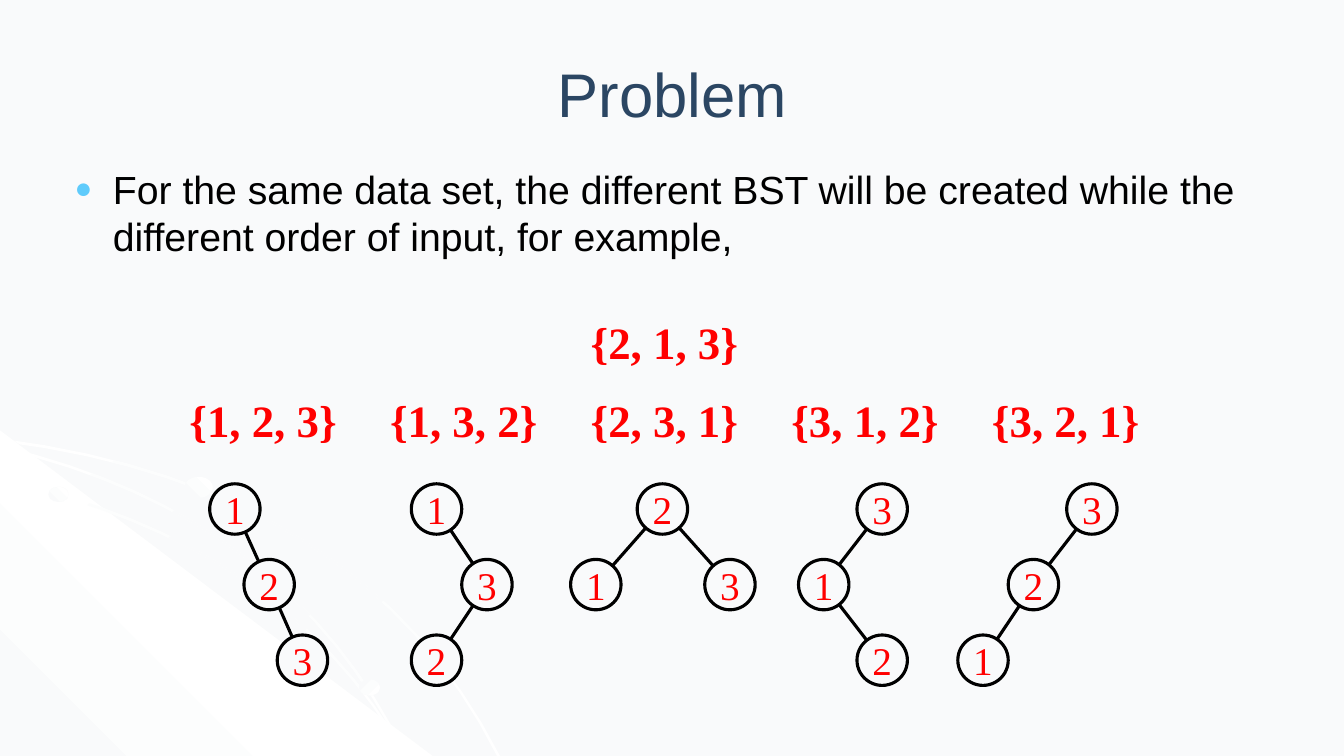
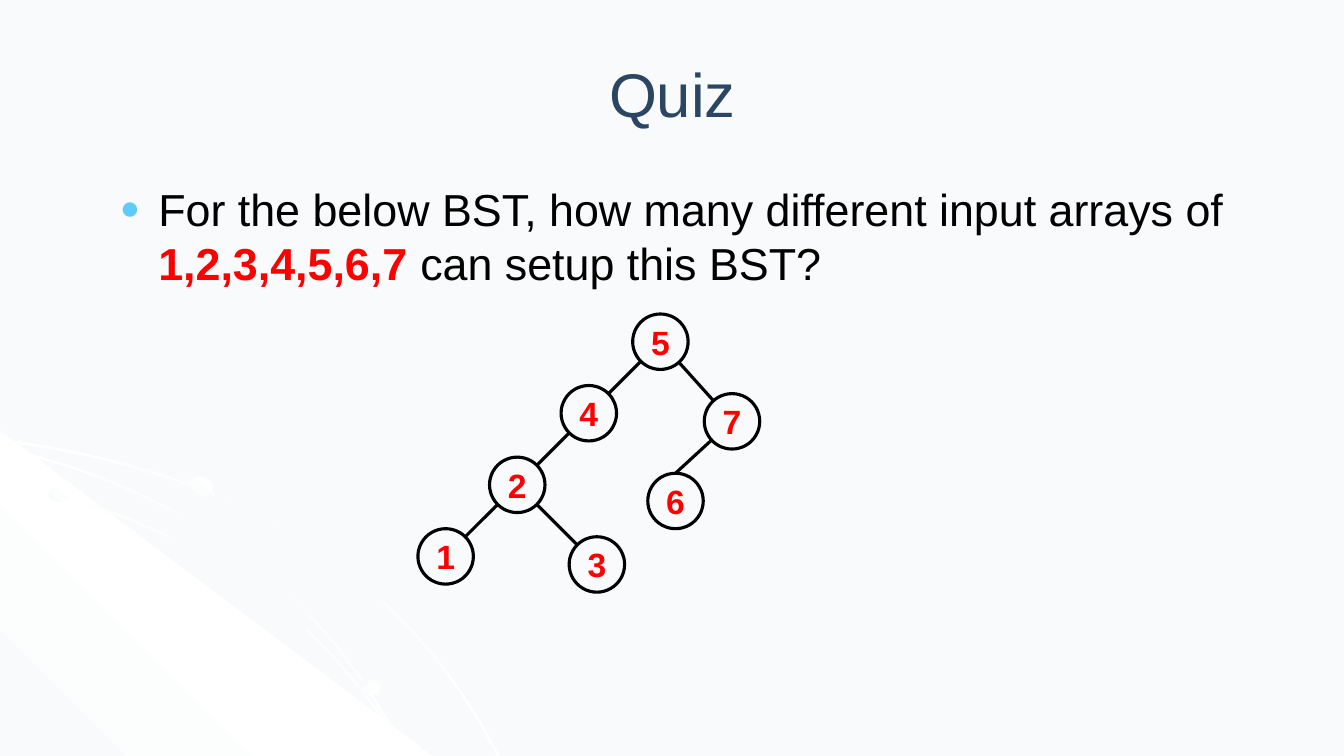
import copy

import pptx
import pptx.dml.color
import pptx.enum.shapes
import pptx.enum.text
import pptx.oxml.ns
import pptx.util
from lxml import etree

Inches = pptx.util.Inches
Pt = pptx.util.Pt
qn = pptx.oxml.ns.qn

SLIDE_WIDTH, SLIDE_HEIGHT = 13.33, 7.5
PALE, WHITE, NAVY, SKY = "F9FAFB", "FFFFFF", "2B4663", "5FCBFB"
BLACK, RED = "000000", "FF0000"
LINE_WIDTH = 2.25


def color(hex_text):
    return pptx.dml.color.RGBColor.from_string(hex_text)


def inches(*lengths):
    return [Inches(length) for length in lengths]


def set_font(font, name, size, hex_text, bold=False):
    font.name, font.size, font.bold = name, Pt(size), bold
    font.color.rgb = color(hex_text)


def add_bullet(para):
    """Hang the paragraph behind a round, sky-blue bullet."""
    props = para._p.get_or_add_pPr()
    props.set("marL", str(Inches(0.38)))
    props.set("indent", str(-Inches(0.38)))
    bullet_color = etree.SubElement(props, qn("a:buClr"))
    etree.SubElement(bullet_color, qn("a:srgbClr"), val=SKY)
    etree.SubElement(props, qn("a:buSzPct"), val="75000")
    etree.SubElement(props, qn("a:buChar"), char="●")


def shade(shape, colors, angle):
    """Fill with two or three evenly spaced colours; the angle runs clockwise."""
    shape.shadow.inherit = False
    shape.line.fill.background()
    shape.fill.gradient()
    shape.fill.gradient_angle = 360 - angle
    if len(colors) == 3:
        stops = shape.element.spPr.find(qn("a:gradFill")).find(qn("a:gsLst"))
        middle = copy.deepcopy(stops[0])
        middle.set("pos", "50000")
        stops.insert(1, middle)
    for stop, hex_text in zip(shape.fill.gradient_stops, colors):
        stop.color.rgb = color(hex_text)


def curve(start, bend, end, steps=16):
    """Return points on the quadratic curve from start to end, pulled to bend."""
    points = []
    for step in range(steps + 1):
        t = step / steps
        points.append(tuple(
            (1 - t) ** 2 * a + 2 * t * (1 - t) * b + t ** 2 * c
            for a, b, c in zip(start, bend, end)))
    return points


def thin_arc(left_y, bend, bottom_x, thickness=0.03):
    """Outline a thin band that curves from the left edge to the bottom edge."""
    bend_x, bend_y = bend
    outer = curve((0, left_y), bend, (bottom_x, SLIDE_HEIGHT))
    inner = curve((0, left_y + thickness),
                  (bend_x - thickness / 2, bend_y + thickness / 2),
                  (bottom_x - thickness, SLIDE_HEIGHT))
    return outer + inner[::-1]


def grow_search_tree(order, root_center, steps):
    """Insert the keys in order; return each key's center and its parent.

    Each step is the distance (across, down) from a parent to the next key;
    smaller keys go to the left and larger keys to the right.
    """
    root = order[0]
    centers, parents, taken = {root: root_center}, {}, {}
    for key, (across, down) in zip(order[1:], steps):
        parent = root
        while (parent, key > parent) in taken:
            parent = taken[parent, key > parent]
        taken[parent, key > parent] = key
        parents[key] = parent
        x, y = centers[parent]
        centers[key] = (x + across if key > parent else x - across, y + down)
    return centers, parents


class TreeDeck:
    def __init__(self):
        self.deck = pptx.Presentation()
        self.deck.slide_width, self.deck.slide_height = inches(SLIDE_WIDTH, SLIDE_HEIGHT)
        self.layout = self.deck.slide_layouts[1]
        background = self.layout.background.fill
        background.solid()
        background.fore_color.rgb = color(PALE)
        self.page = None

    def add_page(self, title):
        first = self.page is None
        self.page = self.deck.slides.add_slide(self.layout)
        if first:
            self.add_backdrop()
        box = self.page.shapes.title
        box.left, box.top, box.width, box.height = inches(2.17, 0.3, 9, 1.25)
        frame = box.text_frame
        frame.text = title
        frame.auto_size = pptx.enum.text.MSO_AUTO_SIZE.NONE
        frame.vertical_anchor = pptx.enum.text.MSO_ANCHOR.MIDDLE
        para = frame.paragraphs[0]
        para.alignment = pptx.enum.text.PP_ALIGN.CENTER
        set_font(para.font, "Arial", 44, NAVY)

    def add_backdrop(self):
        """Draw the corner ornament, then move it to the shared layout."""
        group = self.page.shapes.add_group_shape()
        corner = [(0, 4.27), (4.29, SLIDE_HEIGHT), (0, SLIDE_HEIGHT)]
        wide_arc = thin_arc(4.35, (3.59, 4.81), 4.96)
        lower_arc = thin_arc(4.75, (2.81, 5.35), 4.04)
        upper_arc = thin_arc(4.42, (2.87, 5.09), 4.04)
        pale_middle, white_middle = (WHITE, PALE, WHITE), (PALE, WHITE, PALE)
        for outline, colors, angle in [
            (wide_arc, pale_middle, 45),
            (corner, white_middle, 315),
            (lower_arc, pale_middle, 45),
            (upper_arc, pale_middle, 45),
        ]:
            points = [inches(*point) for point in outline]
            builder = group.shapes.build_freeform(*points[0])
            builder.add_line_segments(points[1:], close=True)
            shade(builder.convert_to_shape(), colors, angle)
        for left, top, width, height, angle in [
            (0.48, 4.83, 0.2, 0.15, 315),
            (3.56, 6.74, 0.21, 0.16, 45),
            (1.83, 4.73, 0.28, 0.21, 315),
        ]:
            dot = group.shapes.add_shape(
                pptx.enum.shapes.MSO_SHAPE.OVAL, *inches(left, top, width, height))
            shade(dot, (PALE, WHITE), angle)
        # Shape numbers must not clash with those already on the layout.
        for number, props in enumerate(group.element.iter(qn("p:cNvPr")), 100):
            props.set("id", str(number))
        self.layout.shapes.element.insert(2, group.element)

    def add_body(self, place, size, spans):
        """Fill the body with one bullet made of (text, emphasised) spans."""
        box = self.page.placeholders[1]
        box.left, box.top, box.width, box.height = inches(*place)
        box.text_frame.auto_size = pptx.enum.text.MSO_AUTO_SIZE.NONE
        para = box.text_frame.paragraphs[0]
        add_bullet(para)
        para.space_before = Pt(0)
        set_font(para.font, "Arial", size, BLACK)
        for text, emphasised in spans:
            span = para.add_run()
            span.text = text
            if emphasised:
                span.font.bold = True
                span.font.color.rgb = color(RED)

    def add_order(self, left, top, order):
        """Write an input order as a set, such as {1, 2, 3}."""
        box = self.page.shapes.add_textbox(*inches(left, top, 1.66, 0.64))
        box.text_frame.word_wrap = False
        para = box.text_frame.paragraphs[0]
        para.text = "{" + ", ".join(order) + "}"
        set_font(para.font, "Times New Roman", 32, RED, bold=True)

    def add_edge(self, group, start, end):
        edge = group.shapes.add_connector(
            pptx.enum.shapes.MSO_CONNECTOR.STRAIGHT, *inches(*start, *end))
        edge.line.width = Pt(LINE_WIDTH)
        edge.line.color.rgb = color(BLACK)
        etree.SubElement(edge.element.spPr, qn("a:effectLst"))

    def add_node(self, group, key, center, size, font):
        x, y = center
        node = group.shapes.add_shape(
            pptx.enum.shapes.MSO_SHAPE.OVAL,
            *inches(x - size / 2, y - size / 2, size, size))
        node.shadow.inherit = False
        node.fill.solid()
        node.fill.fore_color.rgb = color(PALE)
        node.line.width = Pt(LINE_WIDTH)
        node.line.color.rgb = color(BLACK)
        frame = node.text_frame
        frame.word_wrap = False
        frame.margin_left = frame.margin_right = frame.margin_top = frame.margin_bottom = 0
        frame.vertical_anchor = pptx.enum.text.MSO_ANCHOR.MIDDLE
        para = frame.paragraphs[0]
        para.text = key
        para.alignment = pptx.enum.text.PP_ALIGN.CENTER
        set_font(para.font, *font)

    def add_tree(self, order, root_center, steps, size, font, joined_at_top=""):
        """Draw the search tree of an input order, with nodes over the edges."""
        group = self.page.shapes.add_group_shape()
        centers, parents = grow_search_tree(order, root_center, steps)
        for child, parent in parents.items():
            x, y = centers[child]
            if child in joined_at_top:
                y -= size / 2
            self.add_edge(group, centers[parent], (x, y))
        for key, center in centers.items():
            self.add_node(group, key, center, size, font)


def add_problem(slides):
    slides.add_page("Problem")
    slides.add_body((0.64, 1.59, 11.81, 5.11), 28, [(
        "For the same data set, the different BST will be created while the "
        "different order of input, for example,", False)])
    root_y, level_gap = 5.05, 0.75
    first_left, column_gap, order_top = 1.78, 1.99, 3.85
    node_font = ("Times New Roman", 28, RED)
    for column, (order, root_x, widths) in enumerate([
        ("123", 2.33, (0.34, 0.33)),
        ("132", 4.33, (0.5, 0.5)),
        ("231", 6.57, (0.67, 0.66)),
        ("312", 8.75, (0.58, 0.58)),
        ("321", 10.83, (0.58, 0.5)),
    ]):
        steps = [(width, level_gap) for width in widths]
        slides.add_tree(order, (root_x, root_y), steps, 0.5, node_font)
        slides.add_order(first_left + column_gap * column, order_top, order)
    middle_left = first_left + 2 * column_gap
    slides.add_order(middle_left, order_top - 0.78, "213")


def add_quiz(slides):
    slides.add_page("Quiz")
    slides.add_body((1.09, 1.75, 11.29, 4.95), 32, [
        ("For the below BST, how many different input arrays of ", False),
        ("1,2,3,4,5,6,7 ", True),
        ("can setup this BST?", False),
    ])
    short, long = 0.71, 0.79
    left_chain = [(short, short)] * 3
    right_children = [(long, long), (short, long)]
    last_leaf = [(0.56, long)]
    slides.add_tree("5421376", (6.55, 3.39), left_chain + right_children + last_leaf,
                    0.55, ("Arial", 24, RED, True), joined_at_top="6")


def main():
    slides = TreeDeck()
    add_problem(slides)
    add_quiz(slides)
    slides.deck.save("out.pptx")


if __name__ == "__main__":
    main()
